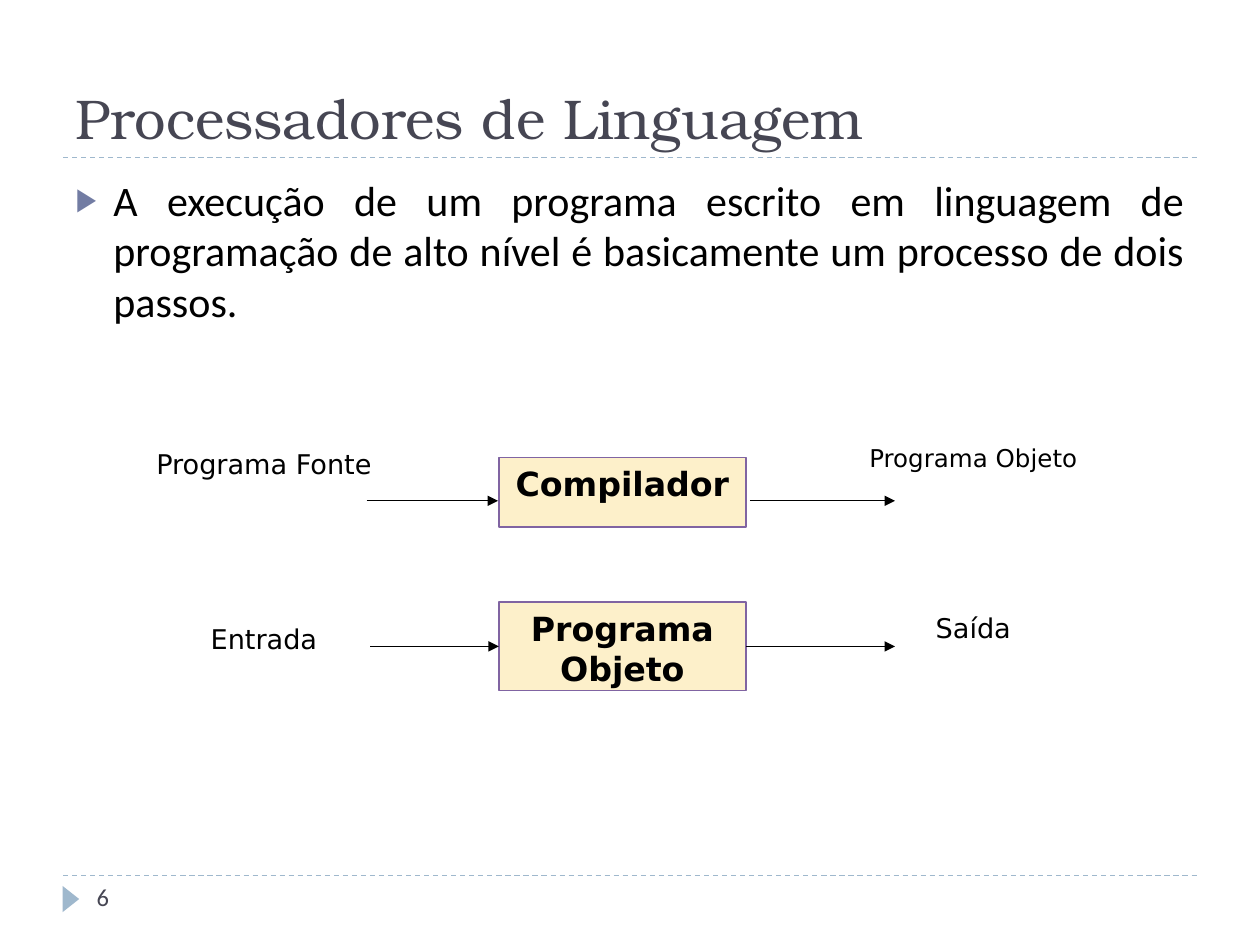
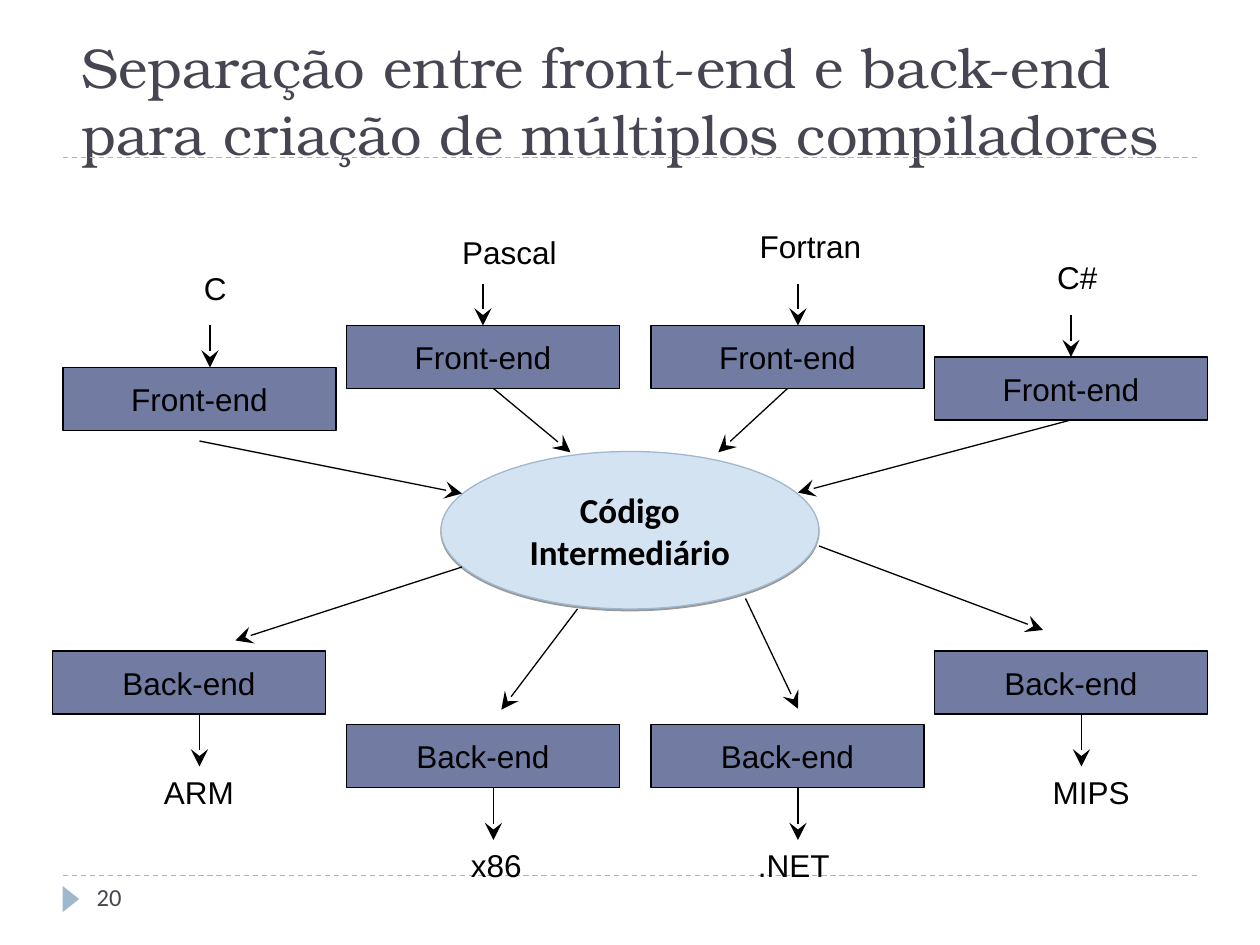
"""Build two slides on language processors and on front-end and back-end separation."""
from dataclasses import dataclass
from typing import NamedTuple, Optional

from lxml.etree import SubElement
from pptx import Presentation
from pptx.dml.color import RGBColor
from pptx.enum.dml import MSO_LINE
from pptx.enum.shapes import MSO_CONNECTOR, MSO_SHAPE
from pptx.enum.text import MSO_ANCHOR, MSO_AUTO_SIZE, PP_ALIGN
from pptx.oxml.ns import qn
from pptx.util import Pt

BLACK = RGBColor(0x00, 0x00, 0x00)
WHITE = RGBColor(0xFF, 0xFF, 0xFF)
SLATE = RGBColor(0x46, 0x46, 0x53)
MIST = RGBColor(0x9F, 0xB8, 0xCD)
INDIGO = RGBColor(0x72, 0x7C, 0xA3)
CREAM = RGBColor(0xFD, 0xF0, 0xCA)
PURPLE = RGBColor(0x80, 0x64, 0xA2)
SKY = RGBColor(0xD3, 0xE3, 0xF2)

TITLE_FONT = "TeX Gyre Bonum"
BODY_FONT = "Calibri"
FLOW_FONT = "DejaVu Sans"
STAGE_FONT = "Arial"


class Point(NamedTuple):
    x: float
    y: float


class Area(NamedTuple):
    left: float
    top: float
    width: float
    height: float

    def emu(self) -> list:
        return [Pt(length) for length in self]

    def side_middles(self) -> list:
        middle_x = round(self.left + self.width / 2, 2)
        middle_y = round(self.top + self.height / 2, 2)
        right = round(self.left + self.width, 2)
        bottom = round(self.top + self.height, 2)
        return [(middle_x, self.top), (self.left, middle_y),
                (middle_x, bottom), (right, middle_y)]


class Style(NamedTuple):
    font: str
    size: float
    color: RGBColor = BLACK
    bold: bool = False
    align: PP_ALIGN = PP_ALIGN.CENTER
    anchor: MSO_ANCHOR = MSO_ANCHOR.TOP
    spacing: float = 1.0
    wrap: bool = True
    bullet: bool = False


class Label(NamedTuple):
    text: str
    left: float
    top: float
    size: float = 15.5


class Head(NamedTuple):
    kind: str
    size: str


@dataclass
class Flow:
    """One processing step with its input and output."""
    process: str
    area: Area
    source: Label
    result: Label
    arrow_y: float
    input_start: float
    input_end: float
    output_start: float


@dataclass
class Stage:
    """A front-end or back-end box with its language or target and its spoke."""
    name: str
    label_area: Area
    left: float
    top: float
    port_x: float
    spoke_start: Point
    spoke_end: Point


TITLE = Style(TITLE_FONT, 32, SLATE, align=PP_ALIGN.LEFT, anchor=MSO_ANCHOR.BOTTOM)
BODY = Style(BODY_FONT, 24, align=PP_ALIGN.JUSTIFY, bullet=True)
NUMBER = Style(BODY_FONT, 14, SLATE, align=PP_ALIGN.LEFT)
PROCESS = Style(FLOW_FONT, 19, bold=True)
STAGE = Style(STAGE_FONT, 18, anchor=MSO_ANCHOR.MIDDLE, wrap=False)
STAGE_LABEL = Style(STAGE_FONT, 18, align=PP_ALIGN.LEFT)
CORE = Style(BODY_FONT, 20, bold=True, anchor=MSO_ANCHOR.MIDDLE)

FLOW_HEAD = Head("triangle", "med")
STAGE_HEAD = Head("stealth", "lg")

FLOWS = [
    Flow("Compilador", Area(285.1, 261.4, 141.1, 39.6), Label("Programa Fonte", 82, 255.6),
         Label("Programa Objeto", 487.4, 252.7, 14), 286.2, 209.5, 284.6, 428.5),
    Flow("Programa Objeto", Area(285.1, 344.2, 141.1, 50.4), Label("Entrada", 82, 355.7),
         Label("Saída", 487.4, 349.2), 369.4, 211.5, 285.1, 426.2),
]
FLOW_OUTPUT_END = 511.4

STAGE_WIDTH, STAGE_HEIGHT = 156, 36
FRONT_ENDS = [
    Stage("C", Area(109.5, 150, 30, 29), 36, 210, 120, Point(114, 252), Point(264, 282)),
    Stage("Pascal", Area(257, 129.5, 70, 29), 198, 186, 276, Point(282, 222), Point(326, 258.5)),
    Stage("Fortran", Area(427, 126, 74, 29), 372, 186, 456, Point(450, 222), Point(410.5, 258.5)),
    Stage("C#", Area(597, 144, 40, 29), 534, 204, 612, Point(612, 240), Point(456, 281.5)),
]
BACK_ENDS = [
    Stage("ARM", Area(86.5, 438, 57, 29), 30, 372, 114, Point(264, 324), Point(134.5, 366)),
    Stage("x86", Area(262, 480, 46, 29), 198, 414, 282, Point(330, 348), Point(286.5, 405.5)),
    Stage(".NET", Area(426, 480, 58, 29), 372, 414, 456, Point(426, 342), Point(456, 405)),
    Stage("MIPS", Area(594.5, 438, 61, 29), 534, 372, 618, Point(468, 312), Point(596, 360)),
]


def add_bullet(paragraph) -> None:
    properties = paragraph._p.get_or_add_pPr()
    properties.set("marL", str(Pt(21.6)))
    properties.set("indent", str(-Pt(21.6)))
    SubElement(SubElement(properties, qn("a:buClr")), qn("a:srgbClr"), val=str(INDIGO))
    SubElement(properties, qn("a:buSzPct"), val="76000")
    SubElement(properties, qn("a:buChar"), char="▶")


def write(shape, text: str, style: Style) -> None:
    frame = shape.text_frame
    frame.text = text
    frame.auto_size = MSO_AUTO_SIZE.NONE
    frame.word_wrap = style.wrap
    frame.vertical_anchor = style.anchor
    for paragraph in frame.paragraphs:
        paragraph.alignment = style.align
        paragraph.line_spacing = style.spacing
        paragraph.space_before = Pt(0)
        if style.bullet:
            add_bullet(paragraph)
        font = paragraph.font
        font.name, font.size, font.bold = style.font, Pt(style.size), style.bold
        font.color.rgb = style.color


def place(shape, area: Area) -> None:
    shape.left, shape.top, shape.width, shape.height = area.emu()


def add_box(slide, kind: MSO_SHAPE, area: Area, fill: RGBColor,
            border: Optional[RGBColor] = None, border_width: float = 0.75):
    box = slide.shapes.add_shape(kind, *area.emu())
    box.shadow.inherit = False
    box.fill.solid()
    box.fill.fore_color.rgb = fill
    if border is None:
        box.line.fill.background()
    else:
        box.line.color.rgb = border
        box.line.width = Pt(border_width)
    return box


def add_text(slide, area: Area, text: str, style: Style) -> None:
    write(slide.shapes.add_textbox(*area.emu()), text, style)


def add_line(slide, start: Point, end: Point, color: RGBColor):
    line = slide.shapes.add_connector(
        MSO_CONNECTOR.STRAIGHT, *[Pt(length) for length in (*start, *end)])
    line.line.color.rgb = color
    line.line.width = Pt(0.75)
    SubElement(line._element.spPr, qn("a:effectLst"))
    return line


def add_arrow(slide, start: Point, end: Point, head: Head, box, area: Area) -> None:
    """Draw an arrow, joined to the box where an end meets the middle of a side."""
    arrow = add_line(slide, start, end, BLACK)
    SubElement(arrow.line._get_or_add_ln(), qn("a:tailEnd"),
               type=head.kind, w=head.size, len=head.size)
    for site, middle in enumerate(area.side_middles()):
        if middle == start:
            arrow.begin_connect(box, site)
        if middle == end:
            arrow.end_connect(box, site)


def add_slide(deck, layout: int, title: str, title_area: Area, number: int):
    slide = deck.slides.add_slide(deck.slide_layouts[layout])
    for y in (90, 500.5):
        rule = add_line(slide, Point(36, y), Point(684, y), MIST)
        rule.line.dash_style = MSO_LINE.DASH
    marker = add_box(slide, MSO_SHAPE.ISOSCELES_TRIANGLE, Area(33, 509, 15, 9.5), MIST)
    marker.rotation = 90
    add_text(slide, Area(48.2, 500.5, 156, 29), str(number), NUMBER)
    place(slide.shapes.title, title_area)
    write(slide.shapes.title, title, TITLE)
    return slide


def add_flow_label(slide, label: Label) -> None:
    box = add_box(slide, MSO_SHAPE.RECTANGLE, Area(label.left, label.top, 137.6, 27), WHITE)
    write(box, label.text, Style(FLOW_FONT, label.size, spacing=0.8, wrap=False))


def add_flow(slide, flow: Flow) -> None:
    process = add_box(slide, MSO_SHAPE.RECTANGLE, flow.area, CREAM, PURPLE, 1)
    write(process, flow.process, PROCESS)
    add_flow_label(slide, flow.source)
    add_flow_label(slide, flow.result)
    for start, end in ((flow.input_start, flow.input_end),
                       (flow.output_start, FLOW_OUTPUT_END)):
        add_arrow(slide, Point(start, flow.arrow_y), Point(end, flow.arrow_y),
                  FLOW_HEAD, process, flow.area)


def add_stage(slide, stage: Stage, kind: str, port_start: float, port_end: float) -> None:
    area = Area(stage.left, stage.top, STAGE_WIDTH, STAGE_HEIGHT)
    box = add_box(slide, MSO_SHAPE.RECTANGLE, area, INDIGO, BLACK)
    write(box, kind, STAGE)
    add_text(slide, stage.label_area, stage.name, STAGE_LABEL)
    add_arrow(slide, Point(stage.port_x, port_start), Point(stage.port_x, port_end),
              STAGE_HEAD, box, area)
    add_arrow(slide, stage.spoke_start, stage.spoke_end, STAGE_HEAD, box, area)


def add_core(slide) -> None:
    core = add_box(slide, MSO_SHAPE.OVAL, Area(252, 258, 216, 90), SKY, MIST)
    write(core, "Código Intermediário", CORE)
    effects = core._element.spPr.find(qn("a:effectLst"))
    shadow = SubElement(effects, qn("a:outerShdw"), blurRad="0", dist=str(Pt(1)),
                        dir="5400000", rotWithShape="0")
    tint = SubElement(shadow, qn("a:srgbClr"), val=str(BLACK))
    SubElement(tint, qn("a:alpha"), val="40000")


def build_processors(deck) -> None:
    slide = add_slide(deck, 1, "Processadores de Linguagem", Area(36, 12, 648, 78), 6)
    summary = slide.placeholders[1]
    place(summary, Area(36, 96, 648, 389))
    write(summary, "A execução de um programa escrito em linguagem de programação de "
                   "alto nível é basicamente um processo de dois passos.", BODY)
    for flow in FLOWS:
        add_flow(slide, flow)


def build_separation(deck) -> None:
    slide = add_slide(deck, 5, "Separação entre front-end e back-end\v"
                               "para criação de múltiplos compiladores",
                      Area(39.5, 9, 647, 90), 20)
    add_core(slide)
    for stage in FRONT_ENDS:
        add_stage(slide, stage, "Front-end", stage.top - 24, stage.top)
    for stage in BACK_ENDS:
        bottom = stage.top + STAGE_HEIGHT
        add_stage(slide, stage, "Back-end", bottom, bottom + 30)


def main() -> None:
    deck = Presentation()
    deck.slide_width, deck.slide_height = Pt(720), Pt(540)
    build_processors(deck)
    build_separation(deck)
    deck.save("out.pptx")


if __name__ == "__main__":
    main()
